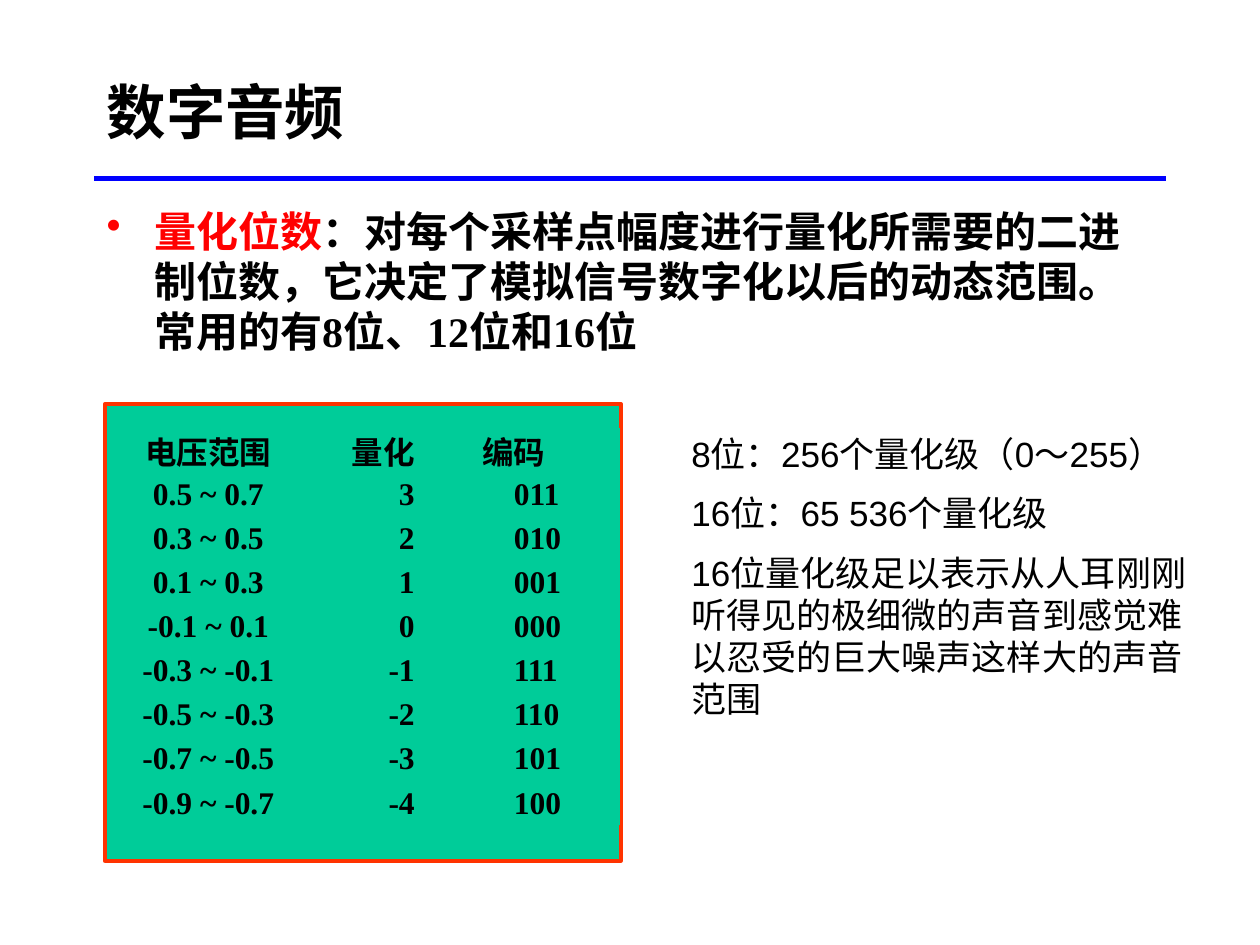
"""Build the slide on quantization bits in digital audio."""
from dataclasses import dataclass

from lxml import etree
from pptx import Presentation
from pptx.dml.color import RGBColor
from pptx.enum.shapes import MSO_CONNECTOR, MSO_SHAPE
from pptx.enum.text import MSO_ANCHOR, PP_ALIGN
from pptx.oxml.ns import qn
from pptx.shapes.autoshape import Shape
from pptx.slide import Slide
from pptx.text.text import Font
from pptx.util import Cm, Length, Pt

STRAIGHT = MSO_CONNECTOR.STRAIGHT
RECTANGLE = MSO_SHAPE.RECTANGLE
MIDDLE = MSO_ANCHOR.MIDDLE
LEFT, CENTER, RIGHT = PP_ALIGN.LEFT, PP_ALIGN.CENTER, PP_ALIGN.RIGHT

BLACK = RGBColor(0x00, 0x00, 0x00)
RED = RGBColor(0xFF, 0x00, 0x00)
BLUE = RGBColor(0x00, 0x00, 0xFF)
GREEN = RGBColor(0x00, 0xCC, 0x99)
ORANGE = RGBColor(0xFF, 0x33, 0x00)

SANS = "Arial"
SERIF = "Times New Roman"
PLAIN_TABLE_STYLE = "{2D5ABB26-0587-4C30-8999-92F81FD0307C}"
ROW_HEIGHT = Cm(0.89)


@dataclass(frozen=True)
class Column:
    """A column of the code table."""

    header: str
    values: tuple[str, ...]
    width: Length
    align: PP_ALIGN
    header_indent: Length = Cm(0)
    value_indent: Length = Cm(0)


COLUMNS = (
    Column(
        "电压范围",
        ("0.5 ~ 0.7", "0.3 ~ 0.5", "0.1 ~ 0.3", "-0.1 ~ 0.1",
         "-0.3 ~ -0.1", "-0.5 ~ -0.3", "-0.7 ~ -0.5", "-0.9 ~ -0.7"),
        Cm(3.4), CENTER,
    ),
    Column("量化", tuple(str(level) for level in range(3, -5, -1)), Cm(2.46), RIGHT),
    Column(
        "编码",
        ("011", "010", "001", "000", "111", "110", "101", "100"),
        Cm(4.14), LEFT, Cm(1.36), Cm(2),
    ),
)
NOTES = (
    "8位：256个量化级（0～255）",
    "16位：65 536个量化级",
    "16位量化级足以表示从人耳刚刚听得见的极细微的声音到感觉难以忍受的巨大噪声这样大的声音范围",
)


def style(font: Font, name: str, size: int, bold: bool, color: RGBColor = BLACK) -> None:
    """Set the look of a font."""
    font.name = name
    font.size = Pt(size)
    font.bold = bold
    font.color.rgb = color


def add_text_box(page: Slide, left: Length, top: Length, width: Length, height: Length) -> Shape:
    """Add a wrapping text box."""
    box = page.shapes.add_textbox(left, top, width, height)
    box.text_frame.word_wrap = True
    return box


def add_title(page: Slide) -> None:
    """Add the title and the rule below it."""
    box = add_text_box(page, Cm(1.9), Cm(1.07), Cm(21.6), Cm(2.34))
    box.text_frame.vertical_anchor = MIDDLE
    box.text_frame.text = "数字音频"
    style(box.text_frame.paragraphs[0].runs[0].font, SANS, 34, True)
    rule = page.shapes.add_connector(STRAIGHT, Cm(1.9), Cm(3.6), Cm(23.5), Cm(3.6))
    rule.line.color.rgb = BLUE
    rule.line.width = Pt(3)
    etree.SubElement(rule._element.spPr, qn("a:effectLst"))


def add_definition(page: Slide) -> None:
    """Add the bulleted definition."""
    box = add_text_box(page, Cm(1.9), Cm(4.01), Cm(21.6), Cm(3.18))
    para = box.text_frame.paragraphs[0]
    properties = para._p.get_or_add_pPr()
    properties.set("marL", str(Cm(0.96)))
    properties.set("indent", str(-Cm(0.96)))
    etree.SubElement(properties, qn("a:buChar"), char="•")
    for text, color in (
        ("量化位数", RED),
        ("：对每个采样点幅度进行量化所需要的二进制位数，它决定了模拟信号数字化以后的动态范围。常用的有8位、12位和16位", BLACK),
    ):
        span = para.add_run()
        span.text = text
        style(span.font, SERIF, 24, True, color)


def add_code_table(page: Slide) -> None:
    """Add the framed table of voltage ranges, levels and codes."""
    panel = page.shapes.add_shape(RECTANGLE, Cm(2.11), Cm(8.15), Cm(10.41), Cm(9.2))
    panel.shadow.inherit = False
    panel.fill.solid()
    panel.fill.fore_color.rgb = GREEN
    panel.line.color.rgb = ORANGE
    panel.line.width = Pt(2.25)

    row_count = len(COLUMNS[0].values) + 1
    width = sum(column.width for column in COLUMNS)
    table = page.shapes.add_table(
        row_count, len(COLUMNS), Cm(2.5), Cm(8.63), width, ROW_HEIGHT * row_count
    ).table
    table._tbl.tblPr.find(qn("a:tableStyleId")).text = PLAIN_TABLE_STYLE
    for row in table.rows:
        row.height = ROW_HEIGHT
    for column_index, column in enumerate(COLUMNS):
        table.columns[column_index].width = column.width
        for row_index, text in enumerate((column.header, *column.values)):
            cell = table.cell(row_index, column_index)
            cell.fill.solid()
            cell.fill.fore_color.rgb = GREEN
            cell.margin_left = column.value_indent if row_index else column.header_indent
            cell.margin_right = cell.margin_top = cell.margin_bottom = 0
            cell.vertical_anchor = MIDDLE
            cell.text_frame.text = text
            para = cell.text_frame.paragraphs[0]
            para.alignment = column.align
            style(para.runs[0].font, SERIF, 18, True)


def add_notes(page: Slide) -> None:
    """Add the remarks beside the table."""
    box = add_text_box(page, Cm(13.69), Cm(8.59), Cm(11), Cm(6.25))
    box.text_frame.text = "\n".join(NOTES)
    for index, para in enumerate(box.text_frame.paragraphs):
        para.space_before = Pt(10 if index else 0)
        style(para.runs[0].font, SANS, 20, False)


def main() -> None:
    """Build and save the deck."""
    deck = Presentation()
    deck.slide_width, deck.slide_height = Cm(25.4), Cm(19.05)
    page = deck.slides.add_slide(deck.slide_layouts[6])
    add_title(page)
    add_definition(page)
    add_code_table(page)
    add_notes(page)
    deck.save("out.pptx")


if __name__ == "__main__":
    main()
